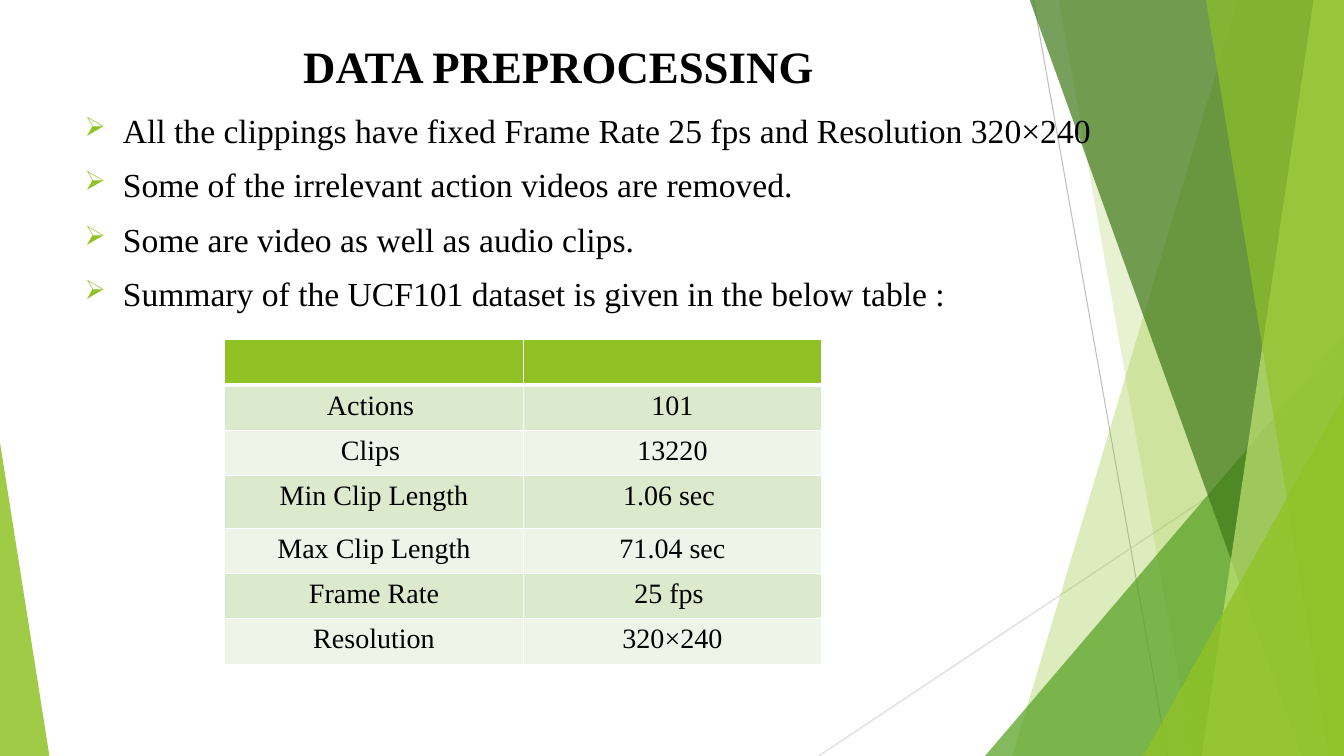
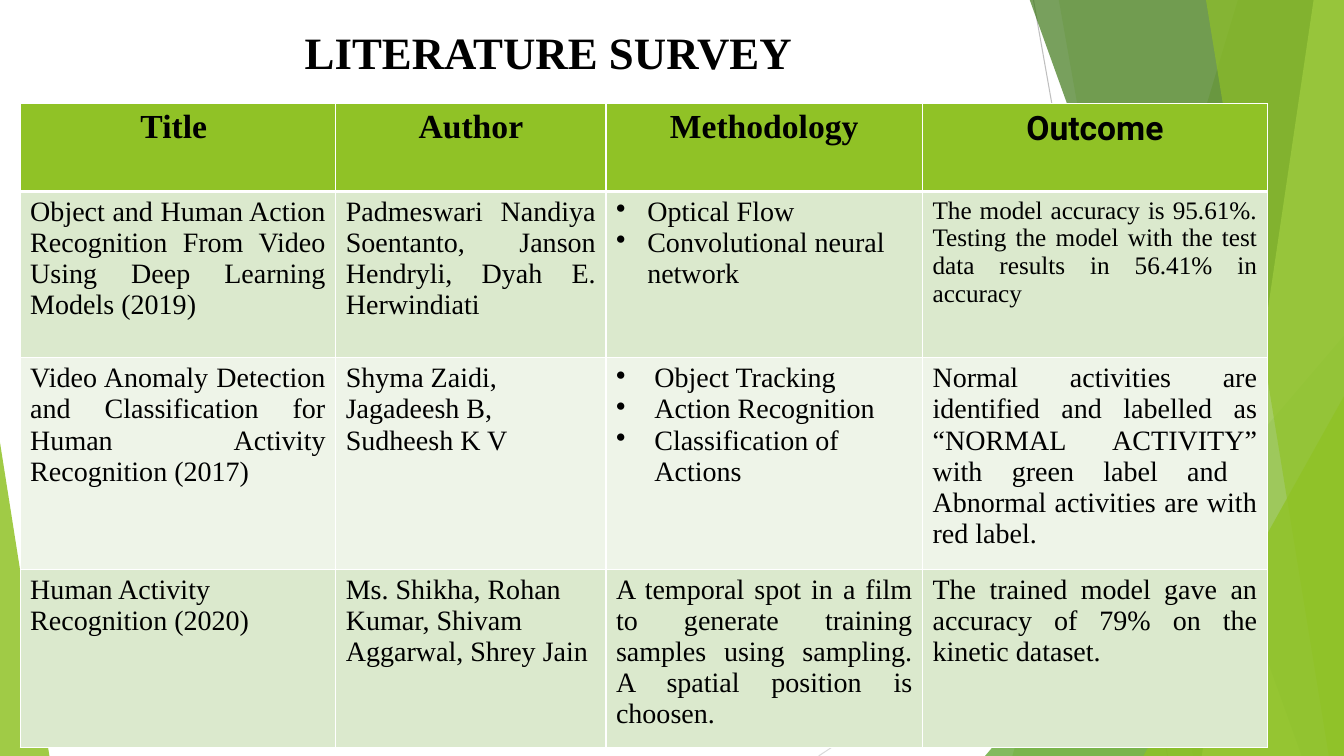
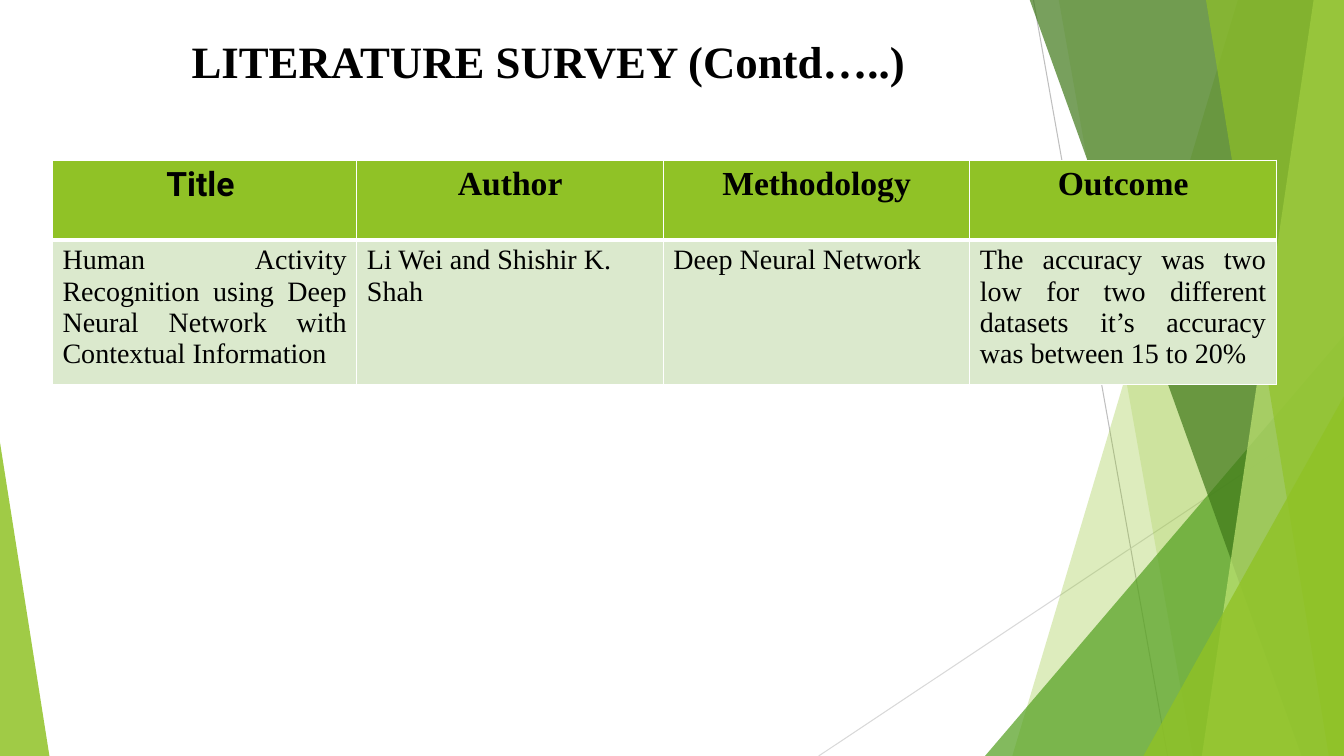
from dataclasses import dataclass

from lxml import etree
from pptx import Presentation
from pptx import util as u
from pptx.dml.color import RGBColor
from pptx.enum import shapes, text
from pptx.oxml.ns import qn

WIDTH, HEIGHT = 13.33, 7.5
SERIF, SANS = "Times New Roman", "Roboto"
BLACK, WHITE = "000000", "FFFFFF"
LIME, LEAF, FOREST, PALE_LIME = "90C226", "54A021", "3F7819", "C0E474"
BANDS = ("DBE9CD", "EEF4E8")
CENTER, JUSTIFY, LEFT = text.PP_ALIGN.CENTER, text.PP_ALIGN.JUSTIFY, text.PP_ALIGN.LEFT


@dataclass
class Entry:
    """Content and style of one table cell; a bullet indent makes a list."""
    lines: tuple
    align: object = JUSTIFY
    size: int = 20
    font: str = SERIF
    bold: bool = False
    bullet_indent: float = 0


def color(value):
    """Turn a hex string into a colour."""
    return RGBColor.from_string(value)


def add_run(paragraph, words, size, font=SERIF, bold=False):
    """Add one black run to a paragraph."""
    run = paragraph.add_run()
    run.text = words
    run.font.size = u.Pt(size)
    run.font.name = font
    run.font.bold = bold
    run.font.color.rgb = color(BLACK)


def set_bullet(paragraph, mark, indent, tint=None, percent=100):
    """Give a paragraph a hanging bullet."""
    properties = paragraph._p.get_or_add_pPr()
    properties.set("marL", str(u.Inches(indent)))
    properties.set("indent", str(u.Inches(-indent)))
    if tint:
        holder = etree.SubElement(properties, qn("a:buClr"))
        etree.SubElement(holder, qn("a:srgbClr"), val=tint)
    etree.SubElement(properties, qn("a:buSzPct"), val=str(percent * 1000))
    etree.SubElement(properties, qn("a:buChar"), char=mark)


def paint(shape, fill, opacity):
    """Fill a shape with a see-through colour, without line or shadow."""
    shape.shadow.inherit = False
    shape.fill.solid()
    shape.fill.fore_color.rgb = color(fill)
    shape.line.fill.background()
    tint = shape.element.spPr.find(".//" + qn("a:srgbClr"))
    etree.SubElement(tint, qn("a:alpha"), val=str(opacity * 1000))


def add_thin_line(slide, start, end, tint):
    """Draw a hairline between two points."""
    line = slide.shapes.add_connector(
        shapes.MSO_CONNECTOR.STRAIGHT, *map(u.Inches, start + end))
    line.line.color.rgb = color(tint)
    line.line.width = u.Pt(0.75)
    etree.SubElement(line.element.spPr, qn("a:effectLst"))


def add_facet(slide, top_x, bottom_x, fill, opacity):
    """Draw a panel with a slanted left side that ends at the right edge."""
    top = u.Inches(-0.01)
    right, bottom = u.Inches(WIDTH), u.Inches(HEIGHT)
    builder = slide.shapes.build_freeform(u.Inches(top_x), top)
    builder.add_line_segments(
        [(right, top), (right, bottom), (u.Inches(bottom_x), bottom)])
    paint(builder.convert_to_shape(), fill, opacity)


def add_corner(slide, left, top, width, tip, fill, opacity):
    """Draw a right triangle standing on the bottom edge."""
    corner = slide.shapes.add_shape(
        shapes.MSO_SHAPE.ISOSCELES_TRIANGLE,
        *map(u.Inches, (left, top, width, HEIGHT - top)))
    corner.adjustments[0] = tip
    paint(corner, fill, opacity)


def add_backdrop(slide):
    """Draw the green facets that all slides share."""
    add_thin_line(slide, (10.25, 0), (11.58, HEIGHT), "BFBFBF")
    add_thin_line(slide, (WIDTH, 4.03), (8.12, HEIGHT), "D9D9D9")
    add_facet(slide, 12.28, 10.04, LIME, 30)
    add_facet(slide, 10.5, 11.83, LIME, 20)
    add_corner(slide, 9.77, 3.33, 3.56, 1, LEAF, 72)
    add_facet(slide, 10.21, 12.91, FOREST, 70)
    add_facet(slide, 13.03, 11.92, PALE_LIME, 70)
    add_facet(slide, 11.96, 13.18, LIME, 65)
    add_corner(slide, 11.34, 3.93, 1.99, 1, LIME, 80)
    add_corner(slide, 0, 4.39, 0.49, 0, LIME, 85)


def add_text_frame(slide, left, top, width, height):
    """Add a wrapping text box and return its frame."""
    box = slide.shapes.add_textbox(*map(u.Inches, (left, top, width, height)))
    box.text_frame.word_wrap = True
    return box.text_frame


def add_titled_slide(presentation, title, left, top, height):
    """Add a slide with the backdrop and a centred title."""
    slide = presentation.slides.add_slide(presentation.slide_layouts[6])
    add_backdrop(slide)
    paragraph = add_text_frame(slide, left, top, 9.4, height).paragraphs[0]
    paragraph.alignment = CENTER
    add_run(paragraph, title, 32, bold=True)
    return slide


def paragraphs_for(frame, lines):
    """Yield a paragraph with each line, reusing the first one."""
    for index, line in enumerate(lines):
        yield (frame.add_paragraph() if index else frame.paragraphs[0]), line


def add_points(slide, points):
    """Add the arrow-bulleted list below the title."""
    frame = add_text_frame(slide, 0.74, 1.04, 10.29, 5.56)
    for paragraph, point in paragraphs_for(frame, points):
        paragraph.alignment = JUSTIFY
        paragraph.space_before = u.Pt(10)
        set_bullet(paragraph, "➢", 0.38, LIME, 80)
        add_run(paragraph, point, 24)


def set_borders(cell, top, bottom):
    """Give a cell white borders; the side borders are 1 pt wide."""
    properties = cell._tc.get_or_add_tcPr()
    for side, points in (("L", 1), ("R", 1), ("T", top), ("B", bottom)):
        border = etree.SubElement(
            properties, qn("a:ln" + side), w=str(u.Pt(points)))
        fill = etree.SubElement(border, qn("a:solidFill"))
        etree.SubElement(fill, qn("a:srgbClr"), val=WHITE)


def fill_cell(cell, entry):
    """Write an entry into a cell."""
    for paragraph, line in paragraphs_for(cell.text_frame, entry.lines):
        paragraph.alignment = entry.align
        if entry.bullet_indent:
            set_bullet(paragraph, "•", entry.bullet_indent)
        add_run(paragraph, line, entry.size, entry.font, entry.bold)


def add_grid(slide, left, top, widths, heights, rows):
    """Add a table with a lime header row and banded body rows."""
    table = slide.shapes.add_table(
        len(heights), len(widths),
        *map(u.Inches, (left, top, sum(widths), sum(heights)))).table
    table.first_row = table.horz_banding = False
    for column, width in zip(table.columns, widths):
        column.width = u.Inches(width)
    for index, (row, height, entries) in enumerate(
            zip(table.rows, heights, rows)):
        row.height = u.Inches(height)
        for cell, entry in zip(row.cells, entries):
            set_borders(cell, 3 if index == 1 else 1, 3 if index == 0 else 1)
            cell.fill.solid()
            cell.fill.fore_color.rgb = color(
                BANDS[(index - 1) % 2] if index else LIME)
            fill_cell(cell, entry)


def survey_header(sans_heading):
    """Return the survey heading cells, one of them in the sans font."""
    return [Entry((heading,), CENTER, 24,
                  SANS if heading == sans_heading else SERIF, True)
            for heading in ("Title ", "Author", "Methodology", "Outcome")]


def build_preprocessing(presentation):
    """Build the slide about data preprocessing."""
    slide = add_titled_slide(presentation, "DATA PREPROCESSING", 0.84, 0.33, 0.71)
    add_points(slide, (
        "All the clippings have fixed Frame Rate 25 fps and Resolution 320×240",
        "Some of the irrelevant action videos are removed.",
        "Some are video as well as audio clips.",
        "Summary of the UCF101 dataset is given in the below table :"))
    summary = (
        ("Actions ", "101"), ("Clips ", "13220"),
        ("Min Clip Length", "1.06 sec "), ("Max Clip Length", "71.04 sec"),
        ("Frame Rate", "25 fps "), ("Resolution", "320×240"))
    rows = [[Entry(()), Entry(())]]
    rows += [[Entry((words,), CENTER) for words in pair] for pair in summary]
    heights = [0.45] * 3 + [0.52] + [0.45] * 3
    add_grid(slide, 2.23, 3.37, (2.96, 2.96), heights, rows)


def build_survey(presentation):
    """Build the first literature survey slide."""
    slide = add_titled_slide(presentation, "LITERATURE SURVEY", 0.74, 0.2, 0.7)
    rows = [
        survey_header("Outcome"),
        [Entry(("Object and Human Action Recognition From Video Using Deep "
                "Learning Models (2019)",)),
         Entry(("Padmeswari Nandiya Soentanto, Janson Hendryli, "
                "Dyah E. Herwindiati",)),
         Entry(("Optical Flow", "Convolutional neural network "), LEFT,
               bullet_indent=0.31),
         Entry(("The model accuracy is 95.61%. Testing the model with the "
                "test data results in 56.41% in accuracy",), size=18)],
        [Entry(("Video Anomaly Detection and Classification for Human "
                "Activity Recognition (2017)",)),
         Entry(("Shyma Zaidi, Jagadeesh B, Sudheesh K V",), LEFT),
         Entry(("Object Tracking", "Action Recognition",
                "Classification of Actions"), LEFT, bullet_indent=0.38),
         Entry(("Normal activities are identified and labelled as “NORMAL "
                "ACTIVITY” with green label and  Abnormal activities are "
                "with red label.",))],
        [Entry(("Human Activity Recognition (2020)",), LEFT),
         Entry(("Ms. Shikha, Rohan Kumar, Shivam Aggarwal, Shrey Jain",), LEFT),
         Entry(("A temporal spot in a film to generate training samples using "
                "sampling. A spatial position is choosen.",)),
         Entry(("The trained model gave an accuracy of 79% on the kinetic "
                "dataset. ",))]]
    add_grid(slide, 0.2, 1.03, (3.13, 2.68, 3.14, 3.42),
             (0.87, 1.65, 2.04, 1.71), rows)


def build_survey_continued(presentation):
    """Build the second literature survey slide."""
    slide = add_titled_slide(
        presentation, "LITERATURE SURVEY (Contd…..)", 0.74, 0.29, 0.84)
    rows = [
        survey_header("Title "),
        [Entry(("Human Activity Recognition using Deep Neural Network with "
                "Contextual Information",)),
         Entry(("Li Wei and Shishir K. Shah",), LEFT),
         Entry(("Deep Neural Network",), LEFT),
         Entry(("The accuracy was two low for two different datasets it’s "
                "accuracy was between 15 to 20%",))]]
    add_grid(slide, 0.52, 1.59, (3.02, 3.04, 3.04, 3.04), (0.79, 1.33), rows)


def main():
    """Build and save the presentation."""
    presentation = Presentation()
    presentation.slide_width = u.Inches(WIDTH)
    presentation.slide_height = u.Inches(HEIGHT)
    build_preprocessing(presentation)
    build_survey(presentation)
    build_survey_continued(presentation)
    presentation.save("out.pptx")


main()
